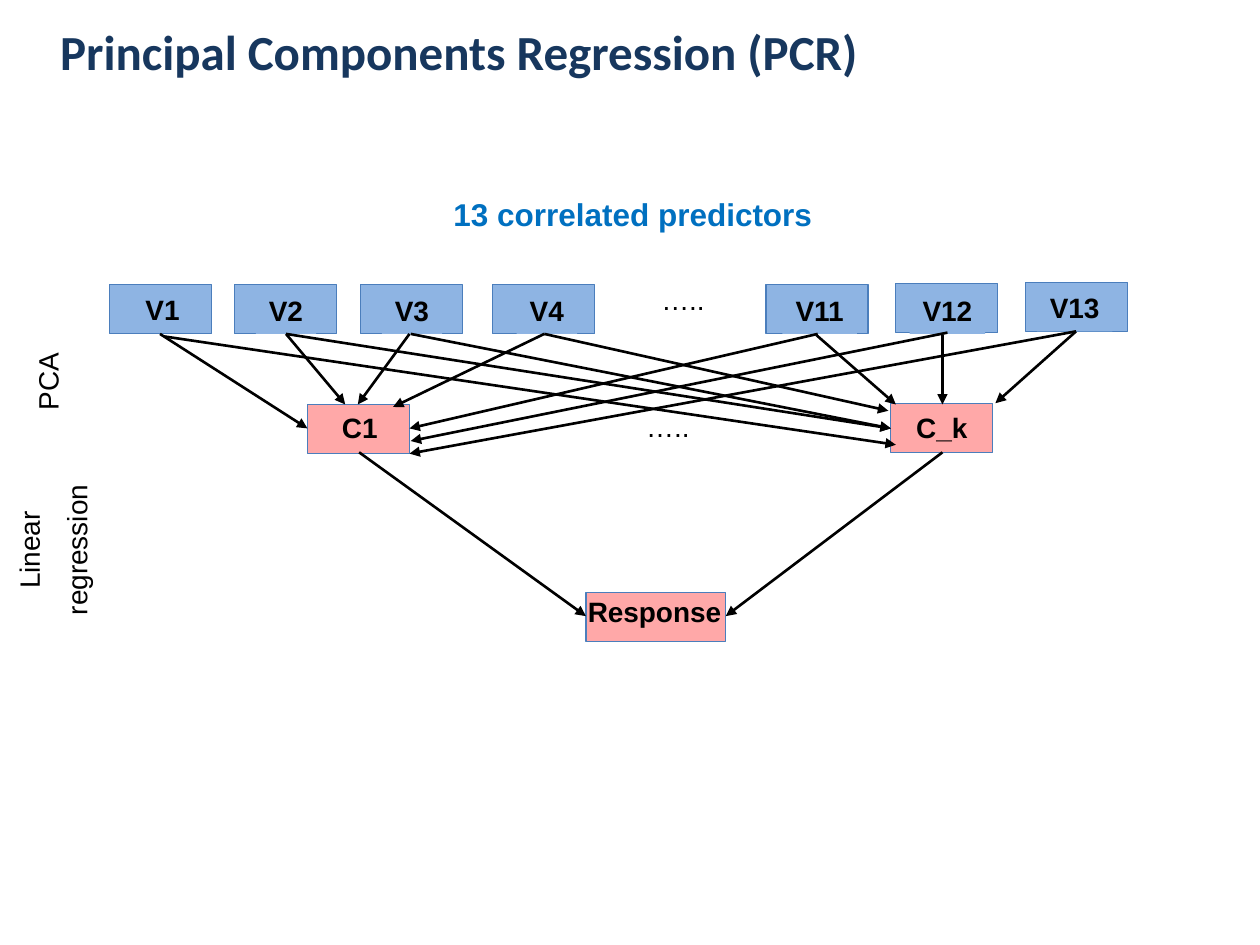
from lxml.etree import SubElement
from pptx import Presentation
from pptx.dml.color import RGBColor
from pptx.enum.shapes import MSO_CONNECTOR, MSO_SHAPE
from pptx.enum.text import MSO_ANCHOR, PP_ALIGN
from pptx.oxml.ns import qn
from pptx.util import Inches, Pt

COLORS = {"title": "17375E", "head": "0070C0", "ink": "000000",
          "blue": "8EB4E3", "red": "FF0000", "edge": "4B7EBC"}
BOX_W, BOX_H, LABEL_H = 0.81, 0.39, 0.37

# Predictors: name, box left and top, label left, top and width
PREDICTORS = [
    ("V1", 0.87, 2.26, 1.05, 2.27, 0.48),
    ("V2", 1.86, 2.26, 2.03, 2.28, 0.48),
    ("V3", 2.86, 2.26, 3.03, 2.28, 0.48),
    ("V4", 3.91, 2.26, 4.1, 2.28, 0.48),
    ("V11", 6.08, 2.26, 6.21, 2.28, 0.59),
    ("V12", 7.11, 2.25, 7.22, 2.28, 0.6),
    ("V13", 8.14, 2.24, 8.23, 2.26, 0.6),
]
# Components and response: name, box left, top and width, label left, top and width
RESULTS = [
    ("C1", 2.44, 3.21, BOX_W, 2.61, 3.21, 0.49),
    ("C_k", 7.07, 3.2, BOX_W, 7.17, 3.21, 0.61),
    ("Response", 4.65, 4.7, 1.11, 4.56, 4.67, 1.27),
]
# Arrows: start x, y, end x, y
TO_C1 = [
    (1.27, 2.65, 2.44, 3.4), (2.27, 2.65, 2.74, 3.21),
    (3.25, 2.65, 2.84, 3.21), (4.32, 2.65, 3.12, 3.23),
    (6.49, 2.65, 3.25, 3.4), (7.52, 2.64, 3.26, 3.5),
    (8.54, 2.63, 3.25, 3.6),
]
TO_CK = [
    (1.3, 2.67, 7.11, 3.53), (2.27, 2.65, 7.07, 3.4),
    (3.26, 2.65, 7.07, 3.4), (4.32, 2.65, 7.05, 3.26),
    (6.48, 2.66, 7.11, 3.21), (7.48, 2.66, 7.48, 3.21),
    (8.54, 2.63, 7.9, 3.2),
]
TO_RESPONSE = [(2.85, 3.59, 4.65, 4.89), (7.48, 3.59, 5.76, 4.89)]
DOTS = [(5.15, 2.19), (5.03, 3.2)]


def color(key):
    return RGBColor.from_string(COLORS[key])


def add_text(slide, text, x, y, w, h, size=16, font="Arial", ink="ink", bold=False,
             align=PP_ALIGN.LEFT, anchor=MSO_ANCHOR.TOP, wrap=True, turn=0, fill=None):
    box = slide.shapes.add_textbox(Inches(x), Inches(y), Inches(w), Inches(h))
    box.rotation = turn
    if fill:
        box.fill.solid()
        box.fill.fore_color.rgb = color(fill)
    frame = box.text_frame
    frame.word_wrap = wrap
    frame.vertical_anchor = anchor
    for i, line in enumerate(text.split("\n")):
        para = frame.paragraphs[0] if i == 0 else frame.add_paragraph()
        para.alignment = align
        if i:
            para.space_before = Pt(size / 2)
        run = para.add_run()
        run.text = line
        run.font.size, run.font.name, run.font.bold = Pt(size), font, bold
        run.font.color.rgb = color(ink)


def add_box(slide, x, y, w, fill, alpha=None):
    box = slide.shapes.add_shape(MSO_SHAPE.RECTANGLE, Inches(x), Inches(y),
                                 Inches(w), Inches(BOX_H))
    box.shadow.inherit = False
    box.fill.solid()
    box.fill.fore_color.rgb = color(fill)
    box.line.color.rgb = color("edge")
    box.line.width = Pt(0.75)
    if alpha:
        tint = box.fill._xPr.find(qn("a:solidFill"))[0]
        SubElement(tint, qn("a:alpha"), val=str(alpha * 1000))


def add_arrow(slide, *ends):
    arrow = slide.shapes.add_connector(MSO_CONNECTOR.STRAIGHT, *map(Inches, ends))
    arrow.line.color.rgb = color("ink")
    arrow.line.width = Pt(1.5)
    SubElement(arrow.line._get_or_add_ln(), qn("a:tailEnd"), type="triangle")
    SubElement(arrow._element.spPr, qn("a:effectLst"))


def main():
    deck = Presentation()
    deck.slide_width, deck.slide_height = Inches(10), Inches(7.5)
    slide = deck.slides.add_slide(deck.slide_layouts[6])
    label = {"bold": True, "align": PP_ALIGN.CENTER, "wrap": False}

    # Headings
    add_text(slide, "Principal Components Regression (PCR)", 0.38, 0.05, 8.2, 0.71,
             size=28, font="Calibri", ink="title", bold=True, anchor=MSO_ANCHOR.MIDDLE)
    add_text(slide, "13 correlated predictors", 3.5, 1.5, 3.27, 0.4,
             size=18, ink="head", bold=True)

    # Boxes with their labels
    for name, x, y, left, top, w in PREDICTORS:
        add_box(slide, x, y, BOX_W, "blue")
        add_text(slide, name, left, top, w, LABEL_H, fill="blue", **label)
    for name, x, y, wide, left, top, w in RESULTS:
        add_box(slide, x, y, wide, "red", alpha=34)
        add_text(slide, name, left, top, w, LABEL_H, **label)

    # Arrows
    for ends in TO_C1 + TO_CK + TO_RESPONSE:
        add_arrow(slide, *ends)

    # Dots and side captions
    for x, y in DOTS:
        add_text(slide, "…..", x, y, 1.05, LABEL_H)
    add_text(slide, "PCA", -0.1, 2.69, 0.96, LABEL_H, turn=270)
    add_text(slide, "Linear\nregression", -0.91, 3.98, 2.68, 0.77,
             align=PP_ALIGN.CENTER, turn=270)

    deck.save("out.pptx")


if __name__ == "__main__":
    main()
